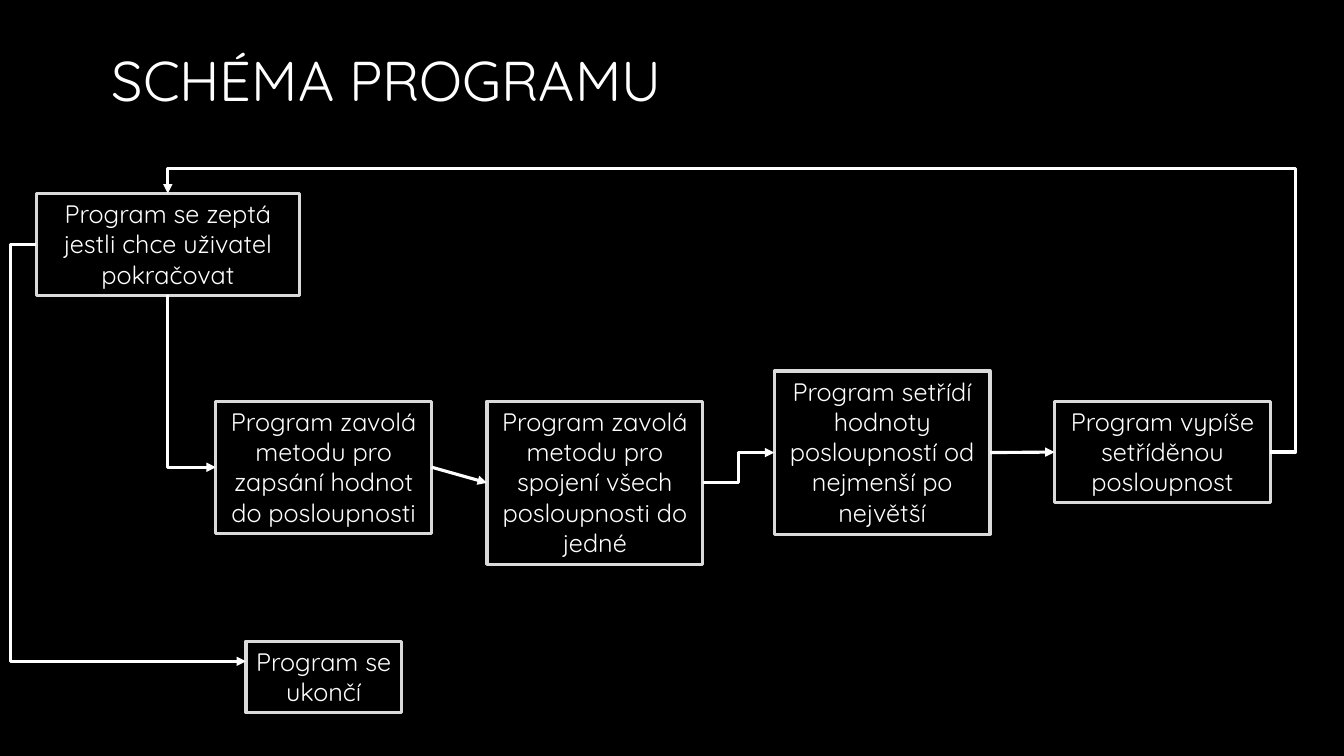
from lxml import etree
from pptx import Presentation
from pptx.dml.color import RGBColor
from pptx.enum.shapes import MSO_CONNECTOR as CONN, MSO_SHAPE
from pptx.enum.text import MSO_ANCHOR, MSO_AUTO_SIZE, PP_ALIGN
from pptx.oxml.ns import qn
from pptx.util import Inches, Pt

COLORS = {"background": "000000", "text": "FFFFFF", "border": "DADADA", "arrow": "FFFFFF"}
FONT = "Quicksand"
TOP, LEFT, BOTTOM, RIGHT = range(4)


def add_text(p, text, size):
    r = p.add_run()
    r.text = text
    r.font.name = FONT
    r.font.size = Pt(size)
    r.font.color.rgb = RGBColor.from_string(COLORS["text"])


def style_line(line, color):
    line.color.rgb = RGBColor.from_string(COLORS[color])
    line.width = Pt(2.25)


prs = Presentation()
prs.slide_width = Inches(13.33)
prs.slide_height = Inches(7.5)
slide = prs.slides.add_slide(prs.slide_layouts[6])
slide.background.fill.solid()
slide.background.fill.fore_color.rgb = RGBColor.from_string(COLORS["background"])

title = slide.shapes.add_textbox(Inches(1.01), Inches(0.3), Inches(11.32), Inches(1.06))
tf = title.text_frame
tf.word_wrap = True
tf.vertical_anchor = MSO_ANCHOR.MIDDLE
tf.paragraphs[0].line_spacing = 0.9
add_text(tf.paragraphs[0], "SCHÉMA PROGRAMU", 40)

steps = [
    ("load", 2.14, 3.98, 2.14, 1.31, "Program zavolá metodu pro zapsání hodnot do posloupnosti"),
    ("ask", 0.36, 1.92, 2.61, 1.01, "Program se zeptá jestli chce uživatel pokračovat"),
    ("quit", 2.44, 6.36, 1.54, 0.71, "Program se ukončí"),
    ("merge", 4.83, 3.98, 2.14, 1.62, "Program zavolá metodu pro spojení všech posloupnosti do jedné"),
    ("sort", 7.68, 3.68, 2.14, 1.62, "Program setřídí hodnoty posloupností od nejmenší po největší"),
    ("print", 10.46, 3.98, 2.14, 1.01, "Program vypíše setříděnou posloupnost"),
]
boxes = {}
for name, x, y, w, h, text in steps:
    sp = slide.shapes.add_shape(MSO_SHAPE.RECTANGLE, Inches(x), Inches(y), Inches(w), Inches(h))
    sp.shadow.inherit = False
    sp.fill.background()
    style_line(sp.line, "border")
    tf = sp.text_frame
    tf.word_wrap = True
    tf.auto_size = MSO_AUTO_SIZE.SHAPE_TO_FIT_TEXT
    tf.vertical_anchor = MSO_ANCHOR.TOP
    tf.paragraphs[0].alignment = PP_ALIGN.CENTER
    add_text(tf.paragraphs[0], text, 18)
    boxes[name] = sp

arrows = [
    ("ask", LEFT, "quit", None, "bentConnector3", [-12100]),
    ("ask", BOTTOM, "load", LEFT, "bentConnector2", []),
    ("load", RIGHT, "merge", LEFT, "line", []),
    ("merge", RIGHT, "sort", LEFT, "bentConnector3", [50000]),
    ("sort", RIGHT, "print", LEFT, "line", []),
    ("print", RIGHT, "ask", TOP, "bentConnector4", [-2300, 109700]),
]
for source, start, target, end, preset, adjustments in arrows:
    kind = CONN.STRAIGHT if preset == "line" else CONN.ELBOW
    cn = slide.shapes.add_connector(kind, 0, 0, Inches(2.44), Inches(6.56))
    cn.begin_connect(boxes[source], start)
    if end is not None:
        cn.end_connect(boxes[target], end)
    style_line(cn.line, "arrow")
    etree.SubElement(cn.line._get_or_add_ln(), qn("a:tailEnd"), type="triangle")
    sp_pr = cn._element.spPr
    etree.SubElement(sp_pr, qn("a:effectLst"))
    geom = sp_pr.find(qn("a:prstGeom"))
    geom.set("prst", preset)
    guides = geom.find(qn("a:avLst"))
    for i, value in enumerate(adjustments, 1):
        etree.SubElement(guides, qn("a:gd"), name=f"adj{i}", fmla=f"val {value}")
    if preset == "bentConnector2":
        w, h = cn.width, cn.height
        cn.left += (w - h) // 2
        cn.top += (h - w) // 2
        cn.width, cn.height = h, w
        xfrm = sp_pr.find(qn("a:xfrm"))
        xfrm.set("rot", str(270 * 60000))
        xfrm.set("flipH", "1")

prs.save("out.pptx")
